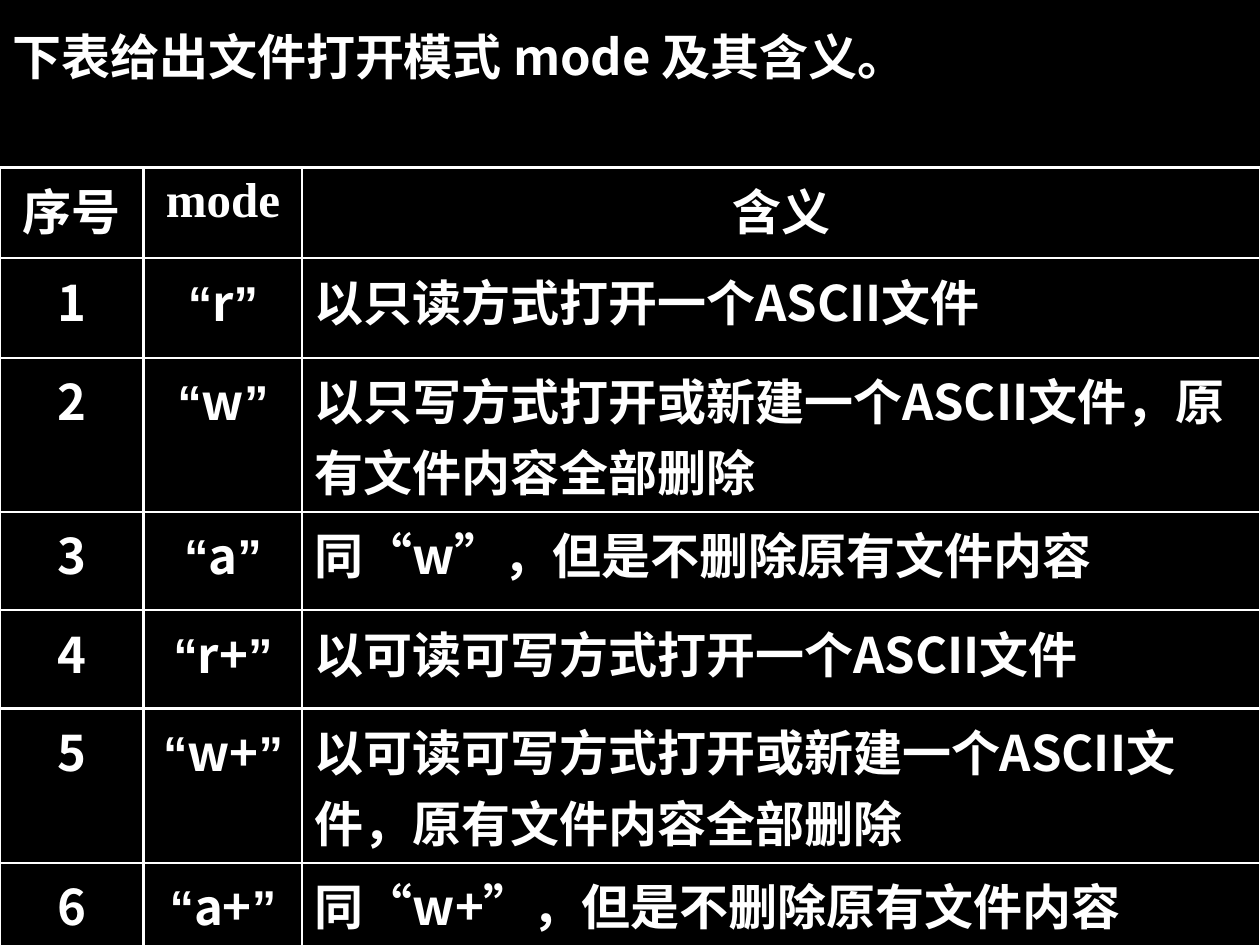
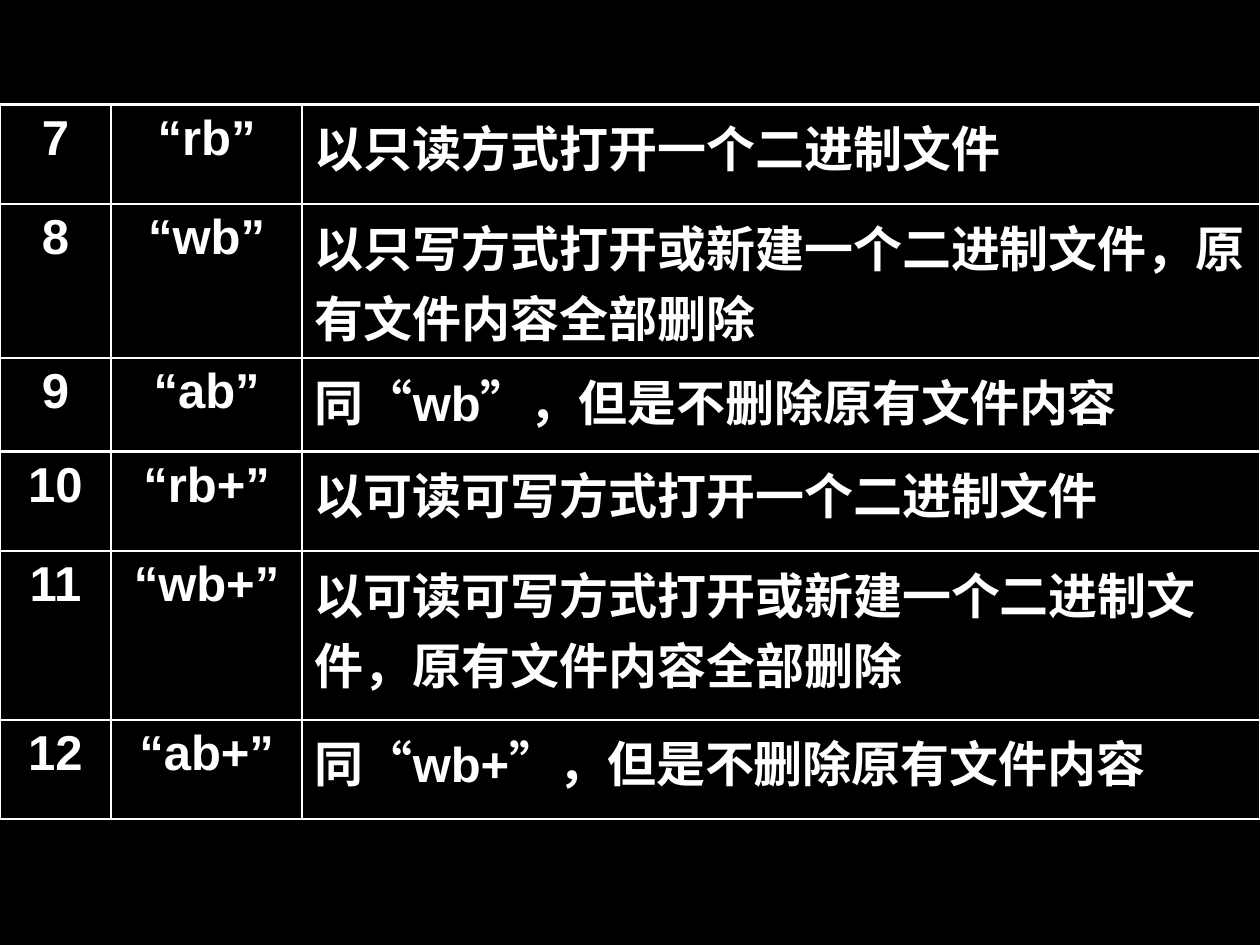
from dataclasses import dataclass
from itertools import groupby

from lxml.etree import SubElement
from pptx import Presentation
from pptx.dml.color import RGBColor
from pptx.enum.text import PP_ALIGN
from pptx.oxml.ns import qn
from pptx.util import Inches, Pt


@dataclass(frozen=True)
class Theme:
    ground: str = "000000"
    ink: str = "FFFFFF"
    cjk: str = "Noto Sans CJK SC"
    latin: str = "Arial"
    header: str = "Times New Roman"
    size: int = 28
    rule: float = 1.47


THEME = Theme()
QUOTES = "“”"
CAPTION = "下表给出文件打开模式 mode 及其含义。"
HEADINGS = ("序号", "mode", "含义")

TEXT_MODES = [
    ("1", "“r”", "以只读方式打开一个ASCII文件"),
    ("2", "“w”", "以只写方式打开或新建一个ASCII文件，原有文件内容全部删除"),
    ("3", "“a”", "同“w”，但是不删除原有文件内容"),
    ("4", "“r+”", "以可读可写方式打开一个ASCII文件"),
    ("5", "“w+”", "以可读可写方式打开或新建一个ASCII文件，原有文件内容全部删除"),
    ("6", "“a+”", "同“w+”，但是不删除原有文件内容"),
]
BINARY_MODES = [
    ("7", "“rb”", "以只读方式打开一个二进制文件"),
    ("8", "“wb”", "以只写方式打开或新建一个二进制文件，原有文件内容全部删除"),
    ("9", "“ab”", "同“wb”，但是不删除原有文件内容"),
    ("10", "“rb+”", "以可读可写方式打开一个二进制文件"),
    ("11", "“wb+”", "以可读可写方式打开或新建一个二进制文件，原有文件内容全部删除"),
    ("12", "“ab+”", "同“wb+”，但是不删除原有文件内容"),
]

PAGES = [
    dict(caption=CAPTION, rows=[HEADINGS, *TEXT_MODES], font=THEME.cjk, top=0.1,
         widths=(1.14, 1.26, 7.6),
         heights=(1.23, 0.72, 0.79, 1.22, 0.78, 0.78, 1.22, 0.74)),
    dict(caption=None, rows=BINARY_MODES, font=THEME.latin, top=0.83,
         widths=(0.88, 1.52, 7.6),
         heights=(0.79, 1.22, 0.74, 0.79, 1.34, 0.79)),
]


def write(cell, text, font=THEME.cjk, align=None):
    paragraph = cell.text_frame.paragraphs[0]
    paragraph.alignment = align
    paragraph._p.get_or_add_pPr().set("hangingPunct", "0")
    for quoted, letters in groupby(text, key=lambda letter: letter in QUOTES):
        run = paragraph.add_run()
        run.text = "".join(letters)
        run.font.name = THEME.latin if quoted else font
        run.font.size = Pt(THEME.size)
        run.font.bold = True
        run.font.color.rgb = RGBColor.from_string(THEME.ink)
        SubElement(run.font._element, qn("a:ea"), typeface=THEME.cjk)


def frame(cell, ruled="LRTB"):
    properties = cell._tc.get_or_add_tcPr()
    for side in "LRTB":
        border = SubElement(properties, qn(f"a:ln{side}"), w=str(int(Pt(THEME.rule))))
        if side in ruled:
            fill = SubElement(border, qn("a:solidFill"))
            SubElement(fill, qn("a:srgbClr"), val=THEME.ink)
        else:
            SubElement(border, qn("a:noFill"))
    cell.fill.background()


def add_mode_table(slide, caption, rows, font, top, widths, heights):
    table = slide.shapes.add_table(
        len(heights), len(widths), Inches(0), Inches(top),
        Inches(sum(widths)), Inches(sum(heights))).table
    table.first_row = table.horz_banding = False
    for column, width in zip(table.columns, widths):
        column.width = Inches(width)
    for row, height in zip(table.rows, heights):
        row.height = Inches(height)

    first = 0
    if caption:
        first = 1
        for column in range(len(widths)):
            frame(table.cell(0, column), ruled="B")
        table.cell(0, 0).merge(table.cell(0, len(widths) - 1))
        write(table.cell(0, 0), caption, font=font)

    for row, entry in enumerate(rows, first):
        for column, text in enumerate(entry):
            cell = table.cell(row, column)
            frame(cell)
            centred = column < 2 or entry == HEADINGS
            write(cell, text,
                  font=THEME.header if text == "mode" else font,
                  align=PP_ALIGN.CENTER if centred else None)


def main():
    deck = Presentation()
    deck.slide_width, deck.slide_height = Inches(10), Inches(7.5)
    ground = deck.slide_master.background.fill
    ground.solid()
    ground.fore_color.rgb = RGBColor.from_string(THEME.ground)
    for page in PAGES:
        add_mode_table(deck.slides.add_slide(deck.slide_layouts[6]), **page)
    deck.save("out.pptx")


if __name__ == "__main__":
    main()
